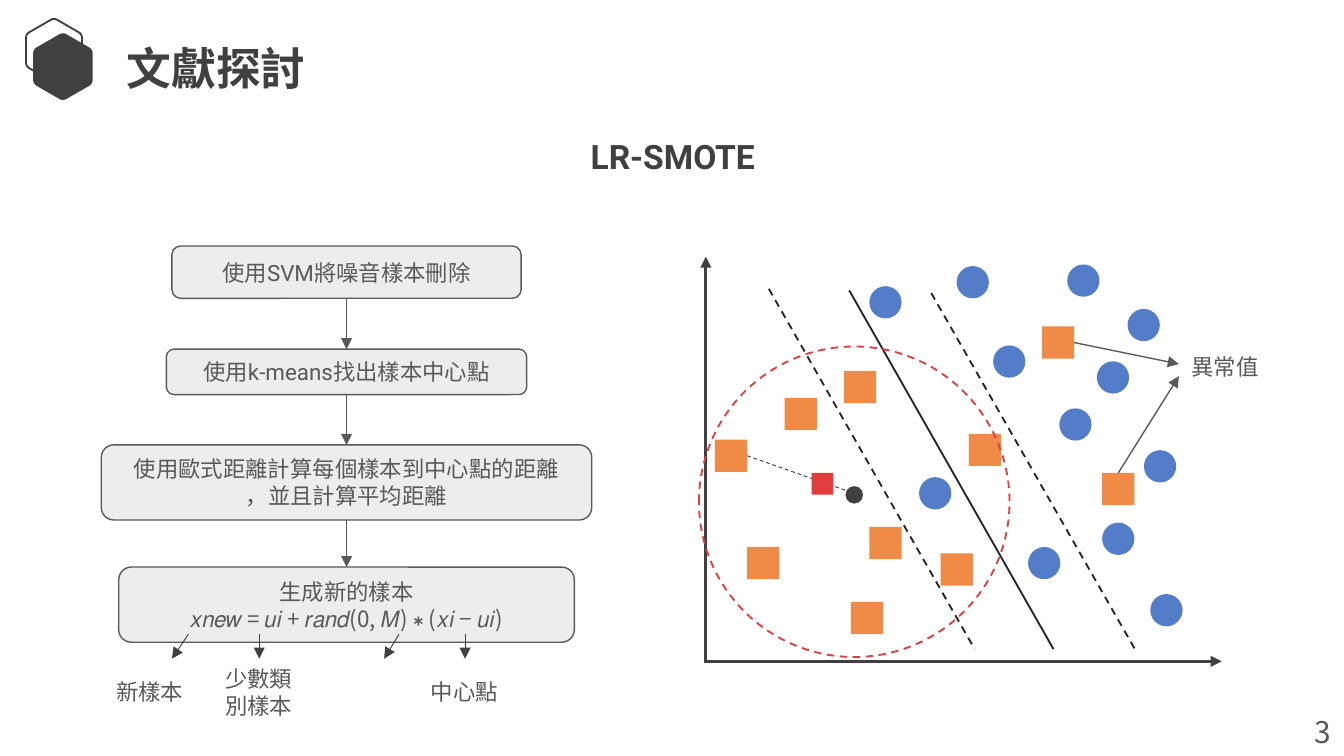
from dataclasses import dataclass
from math import cos, pi, sin

from lxml import etree
from pptx import Presentation
from pptx.dml.color import RGBColor
from pptx.enum.dml import MSO_LINE
from pptx.enum.shapes import MSO_CONNECTOR, MSO_SHAPE
from pptx.enum.text import MSO_ANCHOR, MSO_AUTO_SIZE, PP_ALIGN
from pptx.oxml.ns import qn
from pptx.util import Cm, Pt

RECT, OVAL, ROUND = MSO_SHAPE.RECTANGLE, MSO_SHAPE.OVAL, MSO_SHAPE.ROUNDED_RECTANGLE
LEFT, CENTER = PP_ALIGN.LEFT, PP_ALIGN.CENTER
TOP, MIDDLE = MSO_ANCHOR.TOP, MSO_ANCHOR.MIDDLE
DASH, STRAIGHT = MSO_LINE.DASH, MSO_CONNECTOR.STRAIGHT
TOP_SIDE, BOTTOM_SIDE, RIGHT_SIDE = 0, 2, 3


@dataclass(frozen=True)
class Theme:
    dark: RGBColor = RGBColor.from_string("404040")
    text: RGBColor = RGBColor.from_string("595959")
    boundary: RGBColor = RGBColor.from_string("262626")
    panel: RGBColor = RGBColor.from_string("EDEDED")
    minority: RGBColor = RGBColor.from_string("EF8B47")
    majority: RGBColor = RGBColor.from_string("537DC9")
    accent: RGBColor = RGBColor.from_string("E03E3E")
    latin: str = "Roboto"
    cjk: str = "Noto Sans CJK JP"
    title: int = 24
    heading: int = 18
    number: int = 16
    body: int = 12


theme = Theme()


def write(box, lines, size, color, font, bold=None, align=CENTER, anchor=MIDDLE, wrap=True):
    frame = box.text_frame
    frame.word_wrap = wrap
    frame.auto_size = MSO_AUTO_SIZE.NONE
    frame.vertical_anchor = anchor
    para = frame.paragraphs[0]
    para.alignment = align
    for index, line in enumerate(lines):
        if index:
            para.add_line_break()
        span = para.add_run()
        span.text = line
        span.font.name = font
        span.font.size = Pt(size)
        span.font.bold = bold
        span.font.color.rgb = color
        east_asian = etree.SubElement(span.font._element, qn("a:ea"))
        east_asian.set("typeface", theme.cjk)


def draw_line(start, end, color, width, dash=None, arrow=False):
    line = page.shapes.add_connector(STRAIGHT, *[Cm(value) for value in (*start, *end)])
    line.line.color.rgb = color
    line.line.width = Pt(width)
    if dash:
        line.line.dash_style = dash
    if arrow:
        etree.SubElement(line.line._get_or_add_ln(), qn("a:tailEnd")).set("type", "triangle")
    etree.SubElement(line._element.spPr, qn("a:effectLst"))
    return line


deck = Presentation()
deck.slide_width, deck.slide_height = Cm(25.4), Cm(14.29)
page = deck.slides.add_slide(deck.slide_layouts[5])
shapes = page.shapes

# Title, heading and page number
title = shapes.title
title.left, title.top, title.width, title.height = Cm(2.21), Cm(0.66), Cm(4.5), Cm(1.22)
frame = title.text_frame
frame.margin_left = frame.margin_right = Cm(0.18)
frame.margin_top = frame.margin_bottom = Cm(0.1)
write(title, ["文獻探討"], theme.title, theme.dark, theme.cjk, True, LEFT, TOP)
heading = shapes.add_textbox(Cm(5.26), Cm(2.44), Cm(14.91), Cm(1.02))
write(heading, ["LR-SMOTE"], theme.heading, theme.dark, theme.latin, True)
number = shapes.add_textbox(Cm(24.59), Cm(13.36), Cm(0.81), Cm(0.94))
write(number, ["3"], theme.number, theme.text, theme.cjk, align=LEFT, anchor=TOP, wrap=False)

# Two hexagons with rounded corners: outlined behind, filled in front
for center_x, center_y, radius, filled in [(1.02, 0.95, 0.61, False), (1.19, 1.26, 0.65, True)]:
    corners = [(center_x + radius * sin(k * pi / 3), center_y - radius * cos(k * pi / 3))
               for k in range(6)]
    outline = []
    for k, corner in enumerate(corners):
        before, after = corners[k - 1], corners[(k + 1) % 6]
        for t in (0, 0.25, 0.5, 0.75, 1):
            outline.append(tuple(
                Cm(c + 0.12 * ((1 - t) ** 2 * (b - c) + t ** 2 * (a - c)))
                for b, c, a in zip(before, corner, after)))
    builder = shapes.build_freeform(*outline[0])
    builder.add_line_segments(outline[1:], close=True)
    hexagon = builder.convert_to_shape()
    hexagon.shadow.inherit = False
    if filled:
        hexagon.fill.solid()
        hexagon.fill.fore_color.rgb = theme.dark
        hexagon.line.fill.background()
    else:
        hexagon.fill.background()
        hexagon.line.color.rgb = theme.dark
        hexagon.line.width = Pt(1)

# Axes
draw_line((13.31, 12.5), (23.09, 12.5), theme.dark, 1.5, arrow=True)
draw_line((13.34, 12.52), (13.34, 4.85), theme.dark, 1.5, arrow=True)

# Samples, the generated sample and the cluster centre
SAMPLE = 0.61
minority = [(14.12, 10.34), (14.83, 7.52), (17.78, 10.46), (16.08, 11.38), (15.95, 7.01),
            (18.31, 8.2), (16.43, 9.96), (13.51, 8.31), (20.83, 8.94), (19.69, 6.17)]
majority = [(18.77, 6.53), (20.83, 9.88), (18.08, 5.03), (20.02, 7.72), (21.31, 5.84),
            (17.37, 9.02), (21.74, 11.23), (16.43, 5.41), (19.43, 10.34), (21.62, 8.51),
            (20.73, 6.83), (20.17, 5)]
markers = [(RECT, theme.minority, SAMPLE, spot) for spot in minority]
markers += [(OVAL, theme.majority, SAMPLE, spot) for spot in majority]
markers += [(OVAL, theme.dark, 0.33, (15.98, 9.19))]

# Separating line with its margins
for start, end, dash in [((16.05, 5.49), (19.91, 12.27), None),
                         ((17.6, 5.54), (21.46, 12.29), DASH),
                         ((14.53, 5.46), (18.42, 12.27), DASH)]:
    draw_line(start, end, theme.boundary, 1, dash)
center_link = draw_line((14.12, 8.61), (16.13, 9.32), theme.dark, 0.5, DASH)
markers += [(RECT, theme.accent, 0.41, (15.34, 8.94))]

drawn = []
for kind, color, size, (left, top) in markers:
    marker = shapes.add_shape(kind, Cm(left), Cm(top), Cm(size), Cm(size))
    marker.shadow.inherit = False
    marker.fill.solid()
    marker.fill.fore_color.rgb = color
    marker.line.fill.background()
    drawn.append(marker)
neighbour, low_outlier, high_outlier = drawn[7:10]
center_link.begin_connect(neighbour, RIGHT_SIDE)

# Cluster boundary
cluster = shapes.add_shape(OVAL, Cm(13.21), Cm(6.55), Cm(5.87), Cm(5.87))
cluster.shadow.inherit = False
cluster.fill.background()
cluster.line.color.rgb = theme.accent
cluster.line.width = Pt(1)
cluster.line.dash_style = DASH

# Flow of steps, centred on one axis
FLOW_X = 6.55
steps = [
    (4.65, 6.6, 0.99, theme.latin, ["使用SVM將噪音樣本刪除"]),
    (6.6, 6.81, 0.86, theme.latin, ["使用k-means找出樣本中心點"]),
    (8.41, 9.27, 1.42, theme.cjk, ["使用歐式距離計算每個樣本到中心點的距離", "，並且計算平均距離"]),
    (10.72, 8.61, 1.42, theme.cjk, ["生成新的樣本", "𝑥𝑛𝑒𝑤 = 𝑢𝑖 + 𝑟𝑎𝑛𝑑(0, 𝑀) ∗ (𝑥𝑖 − 𝑢𝑖)"]),
]
previous = None
for top, width, height, font, lines in steps:
    step = shapes.add_shape(ROUND, Cm(FLOW_X - width / 2), Cm(top), Cm(width), Cm(height))
    step.shadow.inherit = False
    step.fill.solid()
    step.fill.fore_color.rgb = theme.panel
    step.line.color.rgb = theme.text
    step.line.width = Pt(0.75)
    write(step, lines, theme.body, theme.text, font)
    if previous:
        arrow = draw_line((FLOW_X, top), (FLOW_X, top), theme.text, 0.75, arrow=True)
        arrow.begin_connect(previous, BOTTOM_SIDE)
        arrow.end_connect(step, TOP_SIDE)
    previous = step

# Pointers from the terms of the formula
for start_x, end_x in [(3.56, 3.25), (4.9, 4.9), (7.54, 7.26), (8.79, 8.79)]:
    draw_line((start_x, 11.99), (end_x, 12.45), theme.dark, 0.5, arrow=True)

# Pointers from the outliers
for outlier, side, end_y in [(high_outlier, RIGHT_SIDE, 6.88), (low_outlier, TOP_SIDE, 7.11)]:
    pointer = draw_line((20.3, 6.48), (22.28, end_y), theme.text, 0.75, arrow=True)
    pointer.begin_connect(outlier, side)

# Labels
for left, top, height, words in [(1.7, 12.65, 0.86, "新樣本"), (3.76, 12.37, 1.42, "少數類別樣本"),
                                 (7.65, 12.65, 0.86, "中心點"), (22.02, 6.5, 0.86, "異常值")]:
    label = shapes.add_shape(ROUND, Cm(left), Cm(top), Cm(2.26), Cm(height))
    label.shadow.inherit = False
    label.fill.background()
    label.line.fill.background()
    write(label, [words], theme.body, theme.text, theme.cjk)

deck.save("out.pptx")
